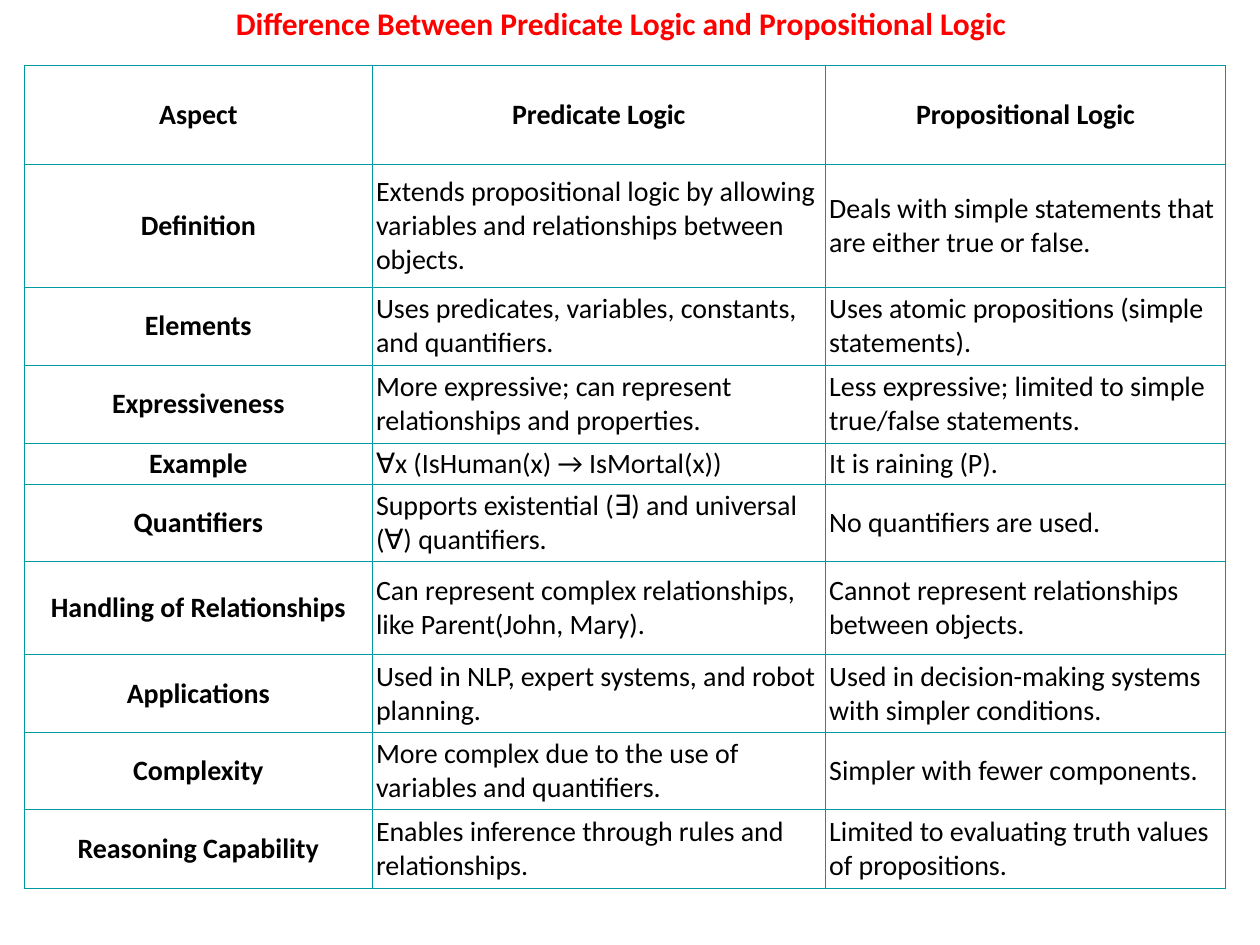
import pptx
import pptx.util
import pptx.dml.color
import pptx.enum.text
import pptx.oxml
import pptx.oxml.ns
from lxml import etree

Pt = pptx.util.Pt
RGB = pptx.dml.color.RGBColor
Align = pptx.enum.text.PP_ALIGN
MIDDLE = pptx.enum.text.MSO_ANCHOR.MIDDLE
qn = pptx.oxml.ns.qn

RED = RGB(0xFF, 0x00, 0x00)
BLACK = RGB(0x00, 0x00, 0x00)
WHITE = RGB(0xFF, 0xFF, 0xFF)
TEAL = RGB(0x00, 0x99, 0xA2)
FONT = "Calibri"

TITLE = "Difference Between Predicate Logic and Propositional Logic"
ROWS = [
    (56.7, "Aspect", "Predicate Logic", "Propositional Logic"),
    (70, "Definition",
     "Extends propositional logic by allowing variables and relationships between objects.",
     "Deals with simple statements that are either true or false."),
    (44.6, "Elements",
     "Uses predicates, variables, constants, and quantifiers.",
     "Uses atomic propositions (simple statements)."),
    (44.6, "Expressiveness",
     "More expressive; can represent relationships and properties.",
     "Less expressive; limited to simple true/false statements."),
    (23.4, "Example", "∀x (IsHuman(x) → IsMortal(x))", "It is raining (P)."),
    (44.2, "Quantifiers",
     "Supports existential (∃) and universal (∀) quantifiers.",
     "No quantifiers are used."),
    (53.2, "Handling of Relationships",
     "Can represent complex relationships, like Parent(John, Mary).",
     "Cannot represent relationships between objects."),
    (44.6, "Applications",
     "Used in NLP, expert systems, and robot planning.",
     "Used in decision-making systems with simpler conditions."),
    (44.2, "Complexity",
     "More complex due to the use of variables and quantifiers.",
     "Simpler with fewer components."),
    (44.6, "Reasoning Capability",
     "Enables inference through rules and relationships.",
     "Limited to evaluating truth values of propositions."),
]
WIDTHS = [198.7, 259, 228.7]


def write(frame, text, size, color, bold, align):
    frame.text = text
    para = frame.paragraphs[0]
    para.alignment = align
    font = para.runs[0].font
    font.name, font.size, font.bold = FONT, Pt(size), bold
    font.color.rgb = color


def border(cell):
    props = cell._tc.get_or_add_tcPr()
    for spot, side in enumerate(("lnL", "lnR", "lnT", "lnB")):
        line = etree.Element(qn("a:" + side), w=str(Pt(0.5)))
        fill = etree.SubElement(line, qn("a:solidFill"))
        etree.SubElement(fill, qn("a:srgbClr"), val=str(TEAL))
        props.insert(spot, line)


def add_title(slide):
    box = slide.shapes.add_textbox(Pt(31), Pt(9.4), Pt(648), Pt(27.4))
    frame = box.text_frame
    frame.word_wrap = True
    frame.vertical_anchor = MIDDLE
    frame.margin_top, frame.margin_bottom = 0, Pt(20)
    write(frame, TITLE, 18, RED, True, Align.CENTER)


def add_grid(slide):
    high = sum(row[0] for row in ROWS)
    table = slide.shapes.add_table(
        len(ROWS), len(WIDTHS), Pt(14), Pt(37.4), Pt(sum(WIDTHS)), Pt(high)).table
    for col, width in zip(table.columns, WIDTHS):
        col.width = Pt(width)
    for r, (height, *texts) in enumerate(ROWS):
        table.rows[r].height = Pt(height)
        for c, text in enumerate(texts):
            cell = table.cell(r, c)
            cell.fill.solid()
            cell.fill.fore_color.rgb = WHITE
            cell.vertical_anchor = MIDDLE
            cell.margin_left = cell.margin_right = Pt(2.2)
            cell.margin_top = cell.margin_bottom = Pt(1.4)
            head = r == 0 or c == 0
            write(cell.text_frame, text, 16, BLACK, head,
                  Align.CENTER if head else Align.LEFT)
            border(cell)


def main():
    deck = pptx.Presentation()
    deck.slide_width, deck.slide_height = Pt(720), Pt(540)
    slide = deck.slides.add_slide(deck.slide_layouts[6])
    add_title(slide)
    add_grid(slide)
    deck.save("out.pptx")


if __name__ == "__main__":
    main()
